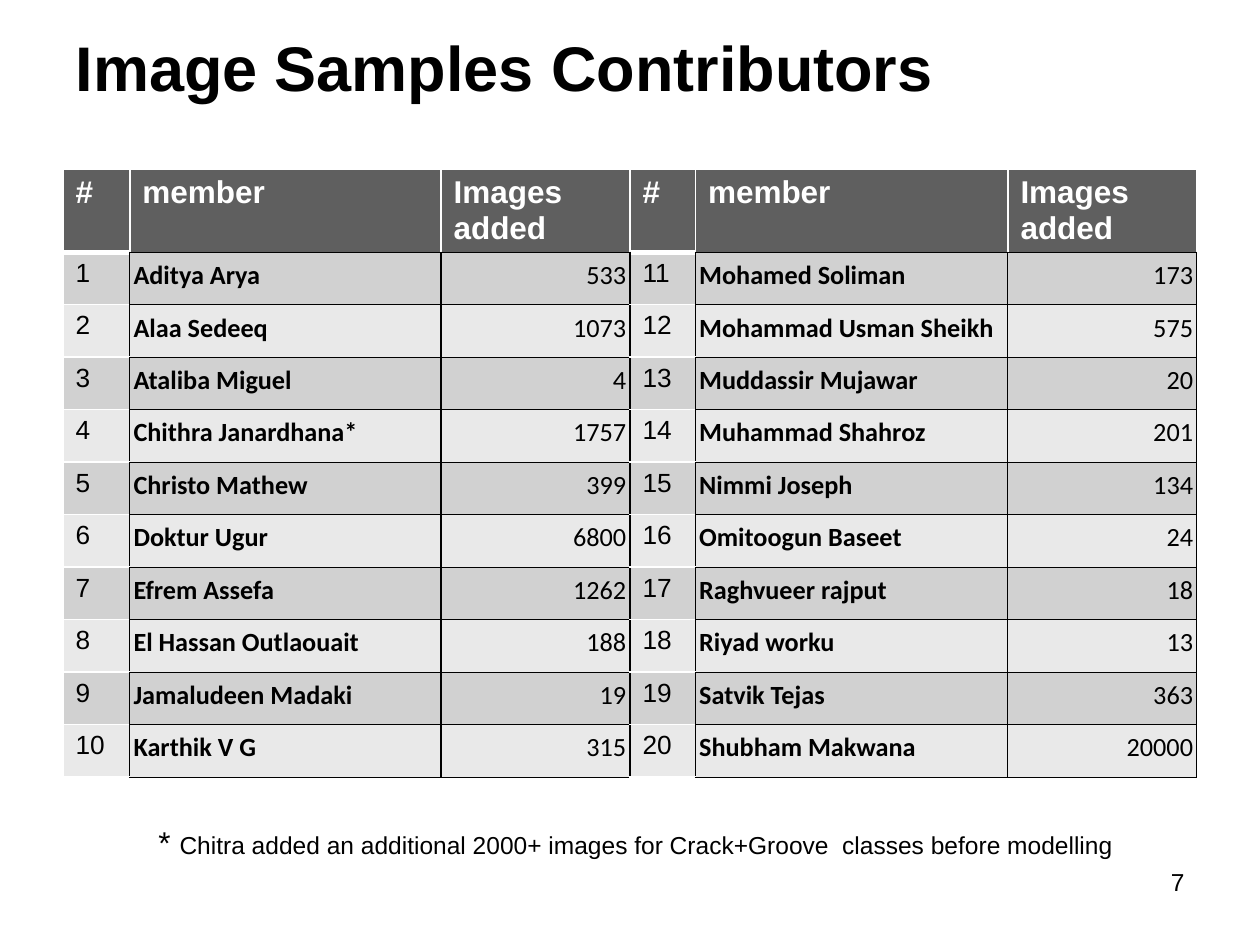
from dataclasses import dataclass

from lxml import etree
from pptx import Presentation, util as u
from pptx.dml.color import RGBColor
from pptx.enum import text
from pptx.oxml.ns import qn


@dataclass(frozen=True)
class Theme:
    ink: str = "000000"
    paper: str = "FFFFFF"
    header: str = "5F5F5F"
    bands: tuple = ("D1D1D1", "E9E9E9")
    sans: str = "Arial"
    data: str = "Calibri"
    title: int = 36
    heading: int = 18
    body: int = 15
    note: int = 14
    line_spacing: float = 1.15
    wide_margins: tuple = (0.1, 0.05)
    tight_margins: tuple = (0.03, 0.02)


class SlideBuilder:
    """Places elements on a grid of 20 columns by 18 rows."""

    def __init__(self, deck, theme):
        self.theme = theme
        self.column = deck.slide_width / 20
        self.row = deck.slide_height / 18
        self.slide = deck.slides.add_slide(deck.slide_layouts[5])

    def area(self, left, top, width, height):
        return (u.Emu(round(left * self.column)), u.Emu(round(top * self.row)),
                u.Emu(round(width * self.column)), u.Emu(round(height * self.row)))

    def style(self, span, size, color=None, bold=False, font=None):
        span.font.size = u.Pt(size)
        span.font.name = font or self.theme.sans
        span.font.bold = bold
        span.font.color.rgb = RGBColor.from_string(color or self.theme.ink)

    def set_margins(self, holder, margins):
        holder.margin_left = holder.margin_right = u.Inches(margins[0])
        holder.margin_top = holder.margin_bottom = u.Inches(margins[1])

    def title(self, wording, area):
        box = self.slide.shapes.title
        box.left, box.top, box.width, box.height = self.area(*area)
        frame = box.text_frame
        frame.text = wording
        frame.auto_size = text.MSO_AUTO_SIZE.NONE
        frame.vertical_anchor = text.MSO_ANCHOR.MIDDLE
        self.set_margins(frame, self.theme.wide_margins)
        para = frame.paragraphs[0]
        para.alignment = text.PP_ALIGN.LEFT
        self.style(para.runs[0], self.theme.title, bold=True)

    def text_box(self, spans, area, margins, align=text.PP_ALIGN.LEFT):
        frame = self.slide.shapes.add_textbox(*self.area(*area)).text_frame
        frame.word_wrap = True
        self.set_margins(frame, margins)
        para = frame.paragraphs[0]
        para.alignment = align
        for wording, size in spans:
            span = para.add_run()
            span.text = wording
            self.style(span, size)

    def borders(self, cell, **edges):
        """Draw black thin edges, except those given as (color, points)."""
        properties = cell._tc.get_or_add_tcPr()
        for side in "LRTB":
            color, points = edges.get(side, (self.theme.ink, 0.75))
            line = etree.SubElement(properties, qn(f"a:ln{side}"), w=str(u.Pt(points)))
            fill = etree.SubElement(line, qn("a:solidFill"))
            etree.SubElement(fill, qn("a:srgbClr"), val=color)

    def cell(self, cell, wording, fill, edges, margins, align=text.PP_ALIGN.LEFT,
             spacing=1.0, **style):
        cell.text = wording
        self.set_margins(cell, margins)
        self.borders(cell, **edges)
        cell.fill.solid()
        cell.fill.fore_color.rgb = RGBColor.from_string(fill)
        para = cell.text_frame.paragraphs[0]
        para.alignment = align
        para.line_spacing = spacing
        self.style(para.runs[0], **style)

    def contributor_table(self, headings, members, widths, left, top):
        theme = self.theme
        half = len(members) // 2
        groups = len(widths) // len(headings)
        frame = self.slide.shapes.add_table(
            half + 1, len(widths), *self.area(left, top, sum(widths), half + 1))
        table = frame.table
        table.first_row = table.horz_banding = False
        for column, width in zip(table.columns, widths):
            column.width = u.Emu(round(width * self.column))
        white, thick = (theme.paper, 1), (theme.paper, 3)

        # Header row
        for index in range(len(widths)):
            kind = index % len(headings)
            edges = dict(L=white, T=white, R=white)
            if kind == 0:
                edges["B"] = thick
            self.cell(table.cell(0, index), headings[kind], theme.header, edges,
                      theme.wide_margins, size=theme.heading, color=theme.paper, bold=True)

        # Numbered members, running down each half of the table
        for index, (name, count) in enumerate(members):
            group, row = divmod(index, half)
            first = group * len(widths) // groups
            fill = theme.bands[row % 2]
            edges = dict(T=white, B=white)
            if group == 0:
                edges["L"] = white
            data = dict(fill=fill, edges={}, margins=theme.tight_margins,
                        spacing=theme.line_spacing, size=theme.body, font=theme.data)
            self.cell(table.cell(row + 1, first), str(index + 1), fill, edges,
                      theme.wide_margins, size=theme.body)
            self.cell(table.cell(row + 1, first + 1), name, bold=True, **data)
            self.cell(table.cell(row + 1, first + 2), str(count),
                      align=text.PP_ALIGN.RIGHT, **data)


MEMBERS = [
    ("Aditya Arya", 533), ("Alaa Sedeeq", 1073), ("Ataliba Miguel", 4),
    ("Chithra Janardhana*", 1757), ("Christo Mathew", 399), ("Doktur Ugur", 6800),
    ("Efrem Assefa", 1262), ("El Hassan Outlaouait", 188), ("Jamaludeen Madaki", 19),
    ("Karthik V G", 315), ("Mohamed Soliman", 173), ("Mohammad Usman Sheikh", 575),
    ("Muddassir Mujawar", 20), ("Muhammad Shahroz", 201), ("Nimmi Joseph", 134),
    ("Omitoogun Baseet", 24), ("Raghvueer rajput", 18), ("Riyad worku", 13),
    ("Satvik Tejas", 363), ("Shubham Makwana", 20000),
]


def main():
    deck = Presentation()
    deck.slide_width, deck.slide_height = u.Inches(10), u.Inches(7.5)
    theme = Theme()
    page = SlideBuilder(deck, theme)

    page.title("Image Samples Contributors", (1, 0.5, 18, 1.54))
    page.contributor_table(("#", "member", "Images added"), MEMBERS,
                           (1.06, 4.94, 3, 1.04, 4.96, 3), left=1, top=3.22)

    # Footnote and page number
    page.text_box([("* ", theme.heading),
                   ("Chitra added an additional 2000+ images for Crack+Groove  "
                    "classes before modelling", theme.note)],
                  (2.32, 15.43, 16.68, 1.2), (0.1, 0.1))
    page.text_box([("7", theme.note)], (14.34, 16.4, 4.66, 1.25),
                  theme.wide_margins, text.PP_ALIGN.RIGHT)
    deck.save("out.pptx")


if __name__ == "__main__":
    main()
